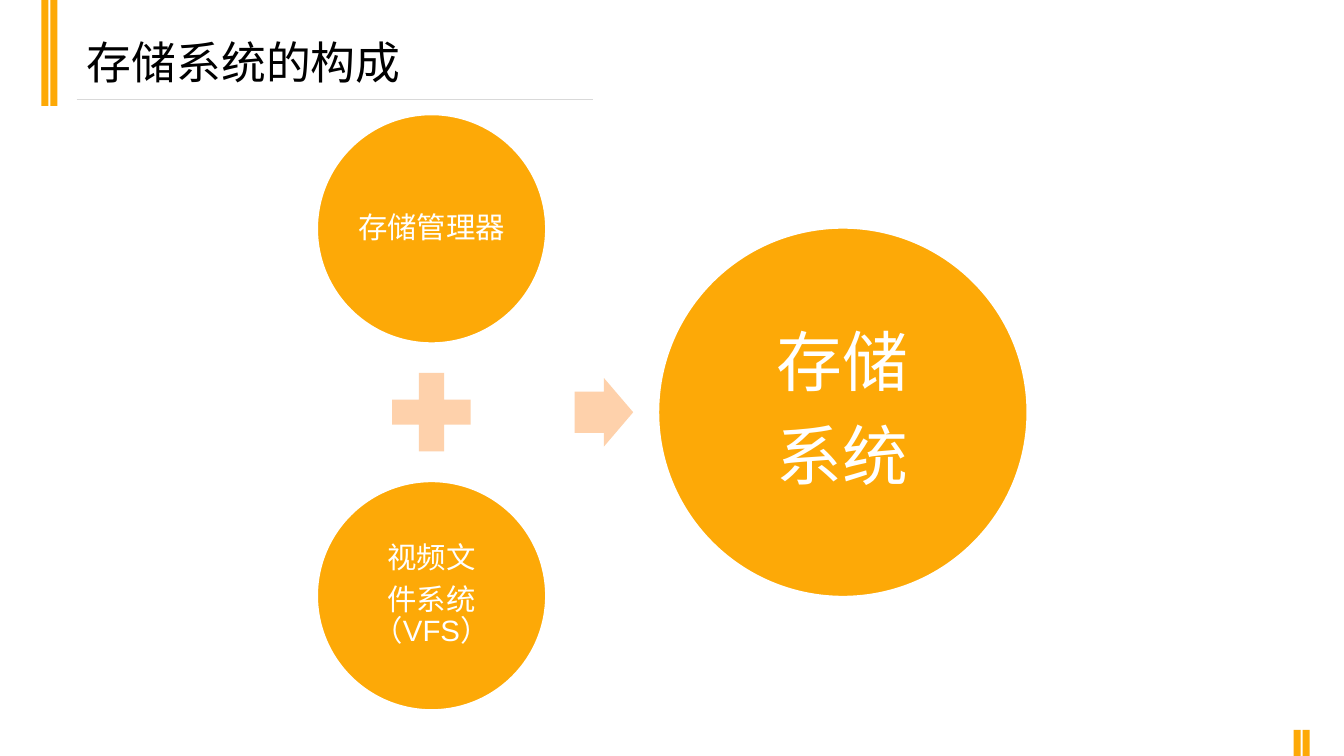
import pptx
import pptx.dml.color
import pptx.enum.shapes
import pptx.enum.text
import pptx.oxml
import pptx.oxml.ns
import pptx.util

COLORS = {"amber": "FDA907", "peach": "FED1AB", "rule": "D9D9D9",
          "white": "FFFFFF", "black": "000000"}
WIDTH, HEIGHT = 13.33, 7.5
STRIPE_WIDTH, STRIPE_PITCH = 0.07, 0.09
SHAPES = pptx.enum.shapes.MSO_SHAPE
ALIGN = pptx.enum.text.PP_ALIGN
ANCHOR = pptx.enum.text.MSO_ANCHOR
INPUT_X, RESULT_X = 4.28, 8.36    # centres of the two columns
MIDDLE_Y, INPUT_RISE = 4.09, 1.82  # common axis, distance of the inputs from it


def inches(*lengths):
    return [pptx.util.Inches(length) for length in lengths]


def rgb(name):
    return pptx.dml.color.RGBColor.from_string(COLORS[name])


def format_runs(paragraph, size, color, font):
    for run in paragraph.runs:
        run.font.size = pptx.util.Pt(size)
        run.font.name = font
        run.font.color.rgb = rgb(color)


def add_filled(slide, preset, left, top, width, height, color):
    figure = slide.shapes.add_shape(preset, *inches(left, top, width, height))
    figure.shadow.inherit = False
    figure.fill.solid()
    figure.fill.fore_color.rgb = rgb(color)
    figure.line.fill.background()
    return figure


def add_centered(slide, preset, x, y, width, height, color):
    return add_filled(slide, preset, x - width / 2, y - height / 2,
                      width, height, color)


def add_stripe_pair(slide, left, top, height):
    for index in range(2):
        add_filled(slide, SHAPES.RECTANGLE, left + index * STRIPE_PITCH, top,
                   STRIPE_WIDTH, height, "amber")


def add_title(slide, wording):
    title = slide.shapes.title
    title.left, title.top, title.width, title.height = inches(0.76, 0.29, 8.67, 0.64)
    title.text_frame.text = wording
    title.text_frame.vertical_anchor = ANCHOR.MIDDLE
    paragraph = title.text_frame.paragraphs[0]
    paragraph.alignment = ALIGN.LEFT
    format_runs(paragraph, 32, "black", "Roboto Condensed")


def add_title_rule(slide):
    rule = slide.shapes.add_connector(pptx.enum.shapes.MSO_CONNECTOR.STRAIGHT,
                                      *inches(0.76, 0.99, 5.88, 0.99))
    rule.line.color.rgb = rgb("rule")
    rule.line.width = pptx.util.Pt(0.75)
    properties = rule._element.spPr
    properties.append(pptx.oxml.parse_xml(
        "<a:effectLst %s/>" % pptx.oxml.ns.nsdecls("a")))


def add_circle(slide, x, y, diameter, wording, size, inset):
    circle = add_centered(slide, SHAPES.OVAL, x, y, diameter, diameter, "amber")
    circle.line.color.rgb = rgb("white")
    circle.line.width = pptx.util.Pt(2)
    frame = circle.text_frame
    frame.word_wrap = True
    frame.vertical_anchor = ANCHOR.MIDDLE
    frame.margin_left, frame.margin_top, frame.margin_right, frame.margin_bottom = (
        inches(*[inset] * 4))
    frame.text = wording
    for paragraph in frame.paragraphs:
        paragraph.alignment = ALIGN.CENTER
        paragraph.line_spacing = 0.9
        paragraph.space_after = pptx.util.Pt(round(size * 0.35))
        format_runs(paragraph, size, "white", "Arial")


def add_equation(slide):
    """Two stacked inputs, joined by a plus, lead to the result circle."""
    inputs = ["存储管理器", "视频文\n件系统（VFS）"]
    for wording, side in zip(inputs, (-1, 1)):
        add_circle(slide, INPUT_X, MIDDLE_Y + side * INPUT_RISE, 2.28,
                   wording, 21, 0.03)
    add_centered(slide, SHAPES.MATH_PLUS, INPUT_X, MIDDLE_Y, 1.06, 1.06, "peach")
    arrow = add_centered(slide, SHAPES.RIGHT_ARROW, 5.99, MIDDLE_Y,
                         0.58, 0.68, "peach")
    arrow.adjustments[0] = 0.6
    arrow.adjustments[1] = 0.5
    add_circle(slide, RESULT_X, MIDDLE_Y, 3.67, "存储\n系统", 47, 0.07)


def main():
    deck = pptx.Presentation()
    deck.slide_width, deck.slide_height = inches(WIDTH, HEIGHT)
    slide = deck.slides.add_slide(deck.slide_layouts.get_by_name("Title Only"))
    add_stripe_pair(slide, 0.41, 0, 1.05)
    add_stripe_pair(slide, 12.83, HEIGHT - 0.26, 0.26)
    add_title_rule(slide)
    add_title(slide, "存储系统的构成")
    add_equation(slide)
    deck.save("out.pptx")


if __name__ == "__main__":
    main()
